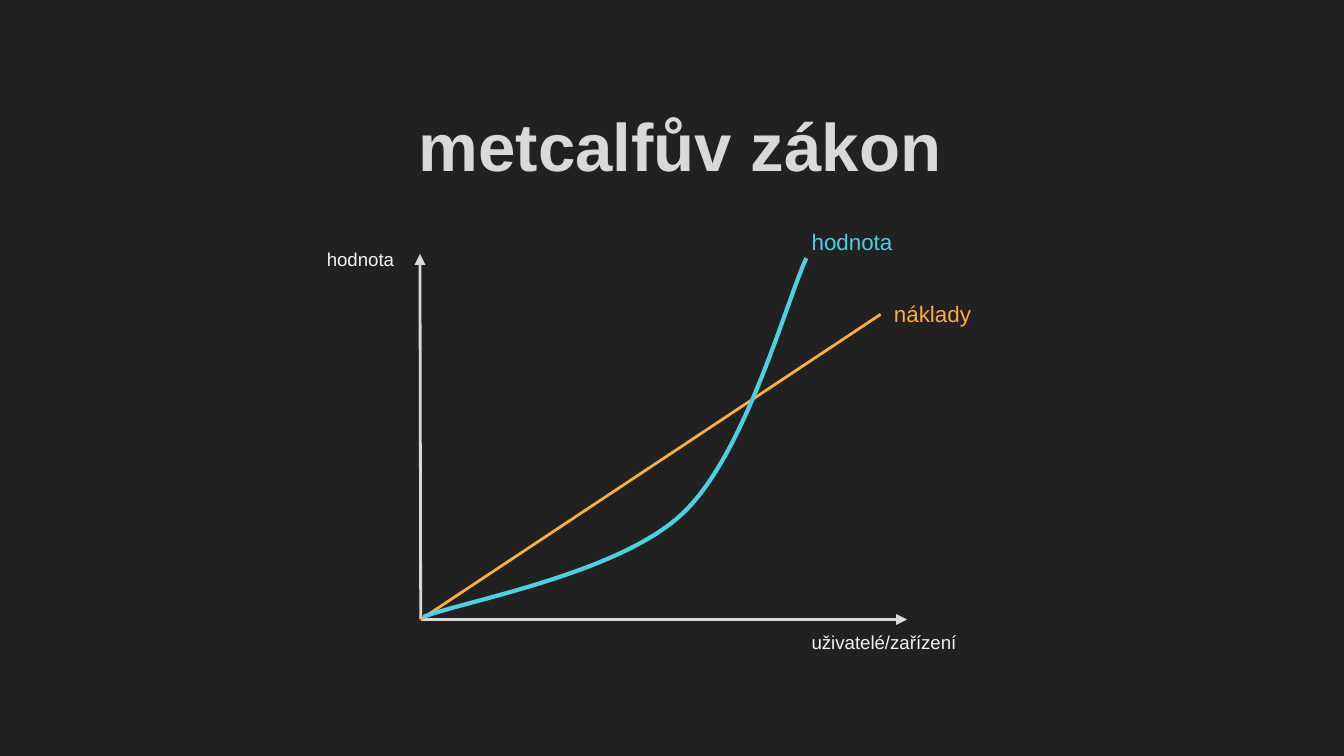
from dataclasses import dataclass

from lxml.etree import SubElement
from pptx import Presentation
from pptx.dml.color import RGBColor
from pptx.enum.shapes import MSO_CONNECTOR
from pptx.enum.text import MSO_ANCHOR, MSO_AUTO_SIZE, PP_ALIGN
from pptx.oxml.ns import qn
from pptx.slide import Slide
from pptx.util import Pt

Point = tuple[float, float]

BACKGROUND, GREY, PALE = "212121", "D9D9D9", "F3F3F3"
ORANGE, CYAN = "FFAB40", "4DD0E1"
FONT = "Arial"
INSET = 7.2
STEPS = 40  # straight pieces per Bézier segment


@dataclass
class Label:
    text: str
    left: float
    top: float
    width: float
    height: float
    size: float
    color: str
    bold: bool = False
    align: PP_ALIGN = PP_ALIGN.LEFT
    spacing: float = 1.0
    grow: bool = True


@dataclass
class Line:
    end: Point
    color: str
    arrow: bool = False


ORIGIN = (225.4, 331.9)
LINES = [
    Line((225, 136), GREY, arrow=True),
    Line((486, 331.9), GREY, arrow=True),
    Line((471.8, 168.4), ORANGE),
]
VALUE_CURVE = [
    [(226.8, 330.5), (249.8, 321.8), (331.2, 307.4), (365.4, 275.4)],
    [(365.4, 275.4), (399.6, 243.4), (421.2, 161.3), (432, 138.3)],
]
LABELS = [
    Label("metcalfův zákon", 28.8, 56.9, 671, 133.9, 36, GREY,
          bold=True, align=PP_ALIGN.CENTER, spacing=0.8, grow=False),
    Label("náklady", 471.8, 153.4, 71.3, 28.8, 12, ORANGE),
    Label("hodnota", 427.7, 115.2, 71.3, 28.8, 12, CYAN),
    Label("uživatelé/zařízení", 427.7, 331.9, 128.2, 26.6, 10, PALE),
    Label("hodnota", 168, 126.7, 57.6, 26.6, 10, PALE),
]


def rgb(color: str) -> RGBColor:
    return RGBColor.from_string(color)


def draw_label(s: Slide, label: Label) -> None:
    sp = s.shapes.add_textbox(Pt(label.left), Pt(label.top),
                              Pt(label.width), Pt(label.height))
    tf = sp.text_frame
    tf.text = label.text
    tf.word_wrap = True
    tf.vertical_anchor = MSO_ANCHOR.TOP
    tf.auto_size = (MSO_AUTO_SIZE.SHAPE_TO_FIT_TEXT if label.grow
                    else MSO_AUTO_SIZE.NONE)
    tf.margin_left = tf.margin_right = Pt(INSET)
    tf.margin_top = tf.margin_bottom = Pt(INSET)
    p = tf.paragraphs[0]
    p.alignment = label.align
    p.line_spacing = label.spacing
    font = p.runs[0].font
    font.name, font.size, font.bold = FONT, Pt(label.size), label.bold
    font.color.rgb = rgb(label.color)


def draw_line(s: Slide, line: Line) -> None:
    sp = s.shapes.add_connector(MSO_CONNECTOR.STRAIGHT,
                                *map(Pt, ORIGIN), *map(Pt, line.end))
    sp.line.color.rgb = rgb(line.color)
    sp.line.width = Pt(1.5)
    if line.arrow:
        SubElement(sp.line._get_or_add_ln(), qn("a:tailEnd"), type="triangle")
    SubElement(sp._element.spPr, qn("a:effectLst"))


def bezier(points: list[Point], t: float) -> Point:
    """Return the point at t on a cubic Bézier segment."""
    u = 1 - t
    weights = (u**3, 3 * u**2 * t, 3 * u * t**2, t**3)
    x, y = (sum(w * c for w, c in zip(weights, axis)) for axis in zip(*points))
    return x, y


def draw_curve(s: Slide, segments: list[list[Point]], color: str) -> None:
    start = segments[0][0]
    builder = s.shapes.build_freeform(Pt(start[0]), Pt(start[1]))
    vertices = [bezier(segment, i / STEPS)
                for segment in segments for i in range(1, STEPS + 1)]
    builder.add_line_segments([(Pt(x), Pt(y)) for x, y in vertices], close=False)
    sp = builder.convert_to_shape()
    sp.shadow.inherit = False
    sp.fill.background()
    sp.line.color.rgb = rgb(color)
    sp.line.width = Pt(2.25)


def main() -> None:
    prs = Presentation()
    prs.slide_width, prs.slide_height = Pt(720), Pt(405)
    s = prs.slides.add_slide(prs.slide_layouts[6])
    s.background.fill.solid()
    s.background.fill.fore_color.rgb = rgb(BACKGROUND)
    for line in LINES:
        draw_line(s, line)
    draw_curve(s, VALUE_CURVE, CYAN)
    for label in LABELS:
        draw_label(s, label)
    prs.save("out.pptx")


if __name__ == "__main__":
    main()
